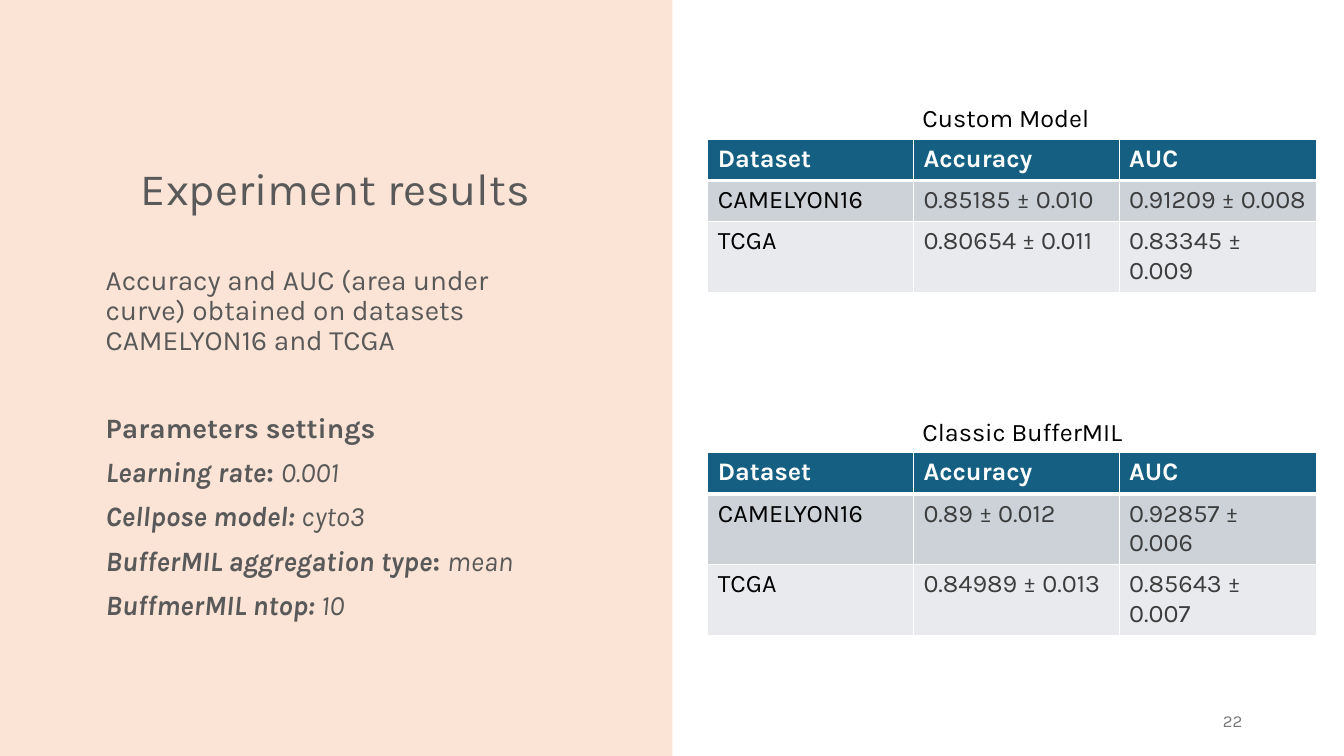
from lxml.etree import SubElement
from pptx import Presentation
from pptx.dml.color import RGBColor
from pptx.enum.shapes import MSO_SHAPE
from pptx.enum.text import MSO_ANCHOR, PP_ALIGN
from pptx.oxml.ns import qn
from pptx.util import Inches, Pt

FONT = "Karla"
COLORS = {
    "panel": "FBE3D6", "body": "595959", "number": "797979", "border": "FFFFFF",
    "header": "156082", "header_text": "FFFFFF", "label": "000000",
    "value": "3D3D3D", "band_dark": "CCD2D8", "band_light": "E8EAED",
}
TITLE = "Experiment results"
SUMMARY = "Accuracy and AUC (area under curve) obtained on datasets CAMELYON16 and TCGA"
BOLD, ITALIC, BOTH = (True, False), (False, True), (True, True)
# Each paragraph: space before in points, then runs of (text, (bold, italic))
BODY = [
    (0, [(SUMMARY, (False, False))]),
    (41, [("Parameters settings", BOLD)]),
    (10, [("Learning rate", BOTH), (": ", BOLD), ("0.001", ITALIC)]),
    (10, [("Cellpose model: ", BOTH), ("cyto3", ITALIC)]),
    (10, [("BufferMIL aggregation type", BOTH), (": ", BOLD), ("mean", ITALIC)]),
    (10, [("BuffmerMIL ntop:", BOTH), (" 10", ITALIC)]),
]
HEADER = ("Dataset", "Accuracy", "AUC")
RESULTS = [
    ("Custom Model", 0.97, [
        ("CAMELYON16", "0.85185 ± 0.010", "0.91209 ± 0.008"),
        ("TCGA", "0.80654 ± 0.011", "0.83345 ± 0.009"),
    ]),
    ("Classic BufferMIL", 4.08, [
        ("CAMELYON16", "0.89 ± 0.012", "0.92857 ± 0.006"),
        ("TCGA", "0.84989 ± 0.013", "0.85643 ± 0.007"),
    ]),
]
TABLE_LEFT, COLUMN_WIDTHS, ROW_HEIGHT = 7.02, (2.04, 2.04, 1.96), 0.41
CAPTION_LEFT, CAPTION_WIDTH, CAPTION_HEIGHT = 9.05, 2.68, 0.4


def rgb(name):
    return RGBColor.from_string(COLORS[name])


def style(paragraph, size, color, bold=None):
    font = paragraph.font
    font.name, font.size, font.bold = FONT, Pt(size), bold
    font.color.rgb = rgb(color)


def add_text(slide, box, text, size, color, align=PP_ALIGN.LEFT, anchor=MSO_ANCHOR.TOP):
    frame = slide.shapes.add_textbox(*map(Inches, box)).text_frame
    frame.word_wrap = True
    frame.vertical_anchor = anchor
    paragraph = frame.paragraphs[0]
    paragraph.text = text
    paragraph.alignment = align
    style(paragraph, size, color)
    return frame


def set_borders(cell, top, bottom):
    """Draw the four cell edges; top and bottom are widths in points."""
    properties = cell._tc.get_or_add_tcPr()
    edges = {"a:lnL": 1, "a:lnR": 1, "a:lnT": top, "a:lnB": bottom}
    for tag, width in edges.items():
        line = SubElement(properties, qn(tag), w=str(Pt(width)))
        fill = SubElement(line, qn("a:solidFill"))
        SubElement(fill, qn("a:srgbClr"), val=COLORS["border"])


def add_results(slide, caption, top, rows):
    rows = [HEADER, *rows]
    table = slide.shapes.add_table(
        len(rows), len(HEADER), Inches(TABLE_LEFT), Inches(top + ROW_HEIGHT),
        Inches(sum(COLUMN_WIDTHS)), Inches(ROW_HEIGHT * len(rows))).table
    for column, width in zip(table.columns, COLUMN_WIDTHS):
        column.width = Inches(width)
    fills = ("header", "band_dark", "band_light")
    for row_index, row in enumerate(rows):
        is_header = row_index == 0
        for column_index, text in enumerate(row):
            cell = table.cell(row_index, column_index)
            cell.text = text
            set_borders(cell, 3 if row_index == 1 else 1, 3 if is_header else 1)
            cell.fill.solid()
            cell.fill.fore_color.rgb = rgb(fills[row_index])
            color = "label" if column_index == 0 else "value"
            style(cell.text_frame.paragraphs[0], 18,
                  "header_text" if is_header else color, is_header)
    add_text(slide, (CAPTION_LEFT, top, CAPTION_WIDTH, CAPTION_HEIGHT), caption, 18, "label")


def add_body(slide):
    frame = slide.shapes.add_textbox(*map(Inches, (0.95, 2.59, 4.76, 4.12))).text_frame
    frame.word_wrap = True
    for index, (space, runs) in enumerate(BODY):
        paragraph = frame.add_paragraph() if index else frame.paragraphs[0]
        paragraph.line_spacing = 0.9
        paragraph.space_before = Pt(space)
        style(paragraph, 20, "body")
        for text, (bold, italic) in runs:
            run = paragraph.add_run()
            run.text = text
            run.font.bold, run.font.italic = bold, italic


def main():
    presentation = Presentation()
    presentation.slide_width, presentation.slide_height = Inches(13.33), Inches(7.5)
    slide = presentation.slides.add_slide(presentation.slide_layouts[6])

    panel = slide.shapes.add_shape(MSO_SHAPE.RECTANGLE, 0, 0, Inches(6.67), Inches(7.5))
    panel.shadow.inherit = False
    panel.fill.solid()
    panel.fill.fore_color.rgb = rgb("panel")
    panel.line.fill.background()

    title = add_text(slide, (0.95, 0.57, 4.76, 1.61), TITLE, 32, "body",
                     PP_ALIGN.CENTER, MSO_ANCHOR.BOTTOM)
    title.paragraphs[0].line_spacing = 0.9
    add_body(slide)
    add_text(slide, (9.42, 6.95, 3, 0.4), "22", 12, "number",
             PP_ALIGN.RIGHT, MSO_ANCHOR.MIDDLE)
    for caption, top, rows in RESULTS:
        add_results(slide, caption, top, rows)
    presentation.save("out.pptx")


if __name__ == "__main__":
    main()
